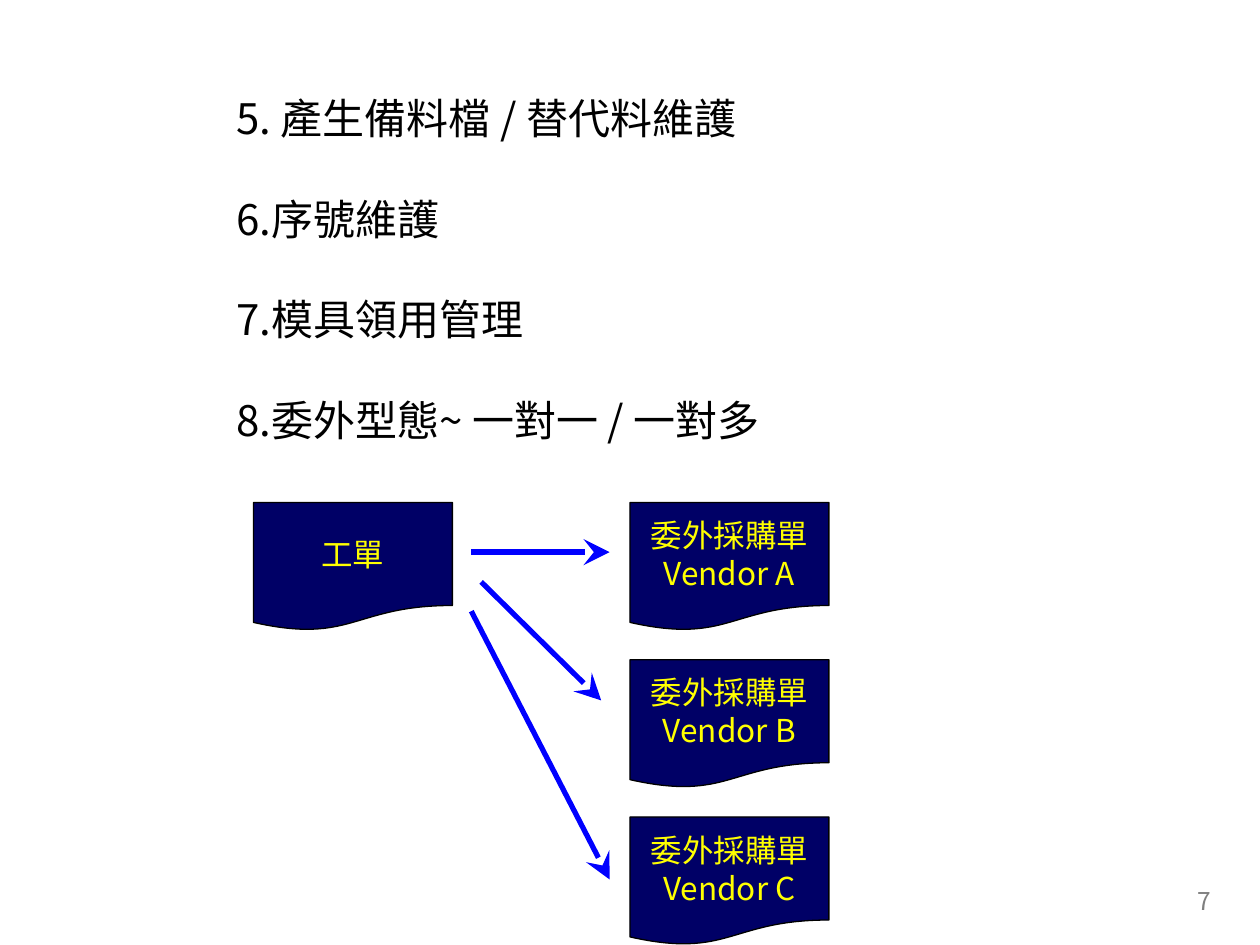
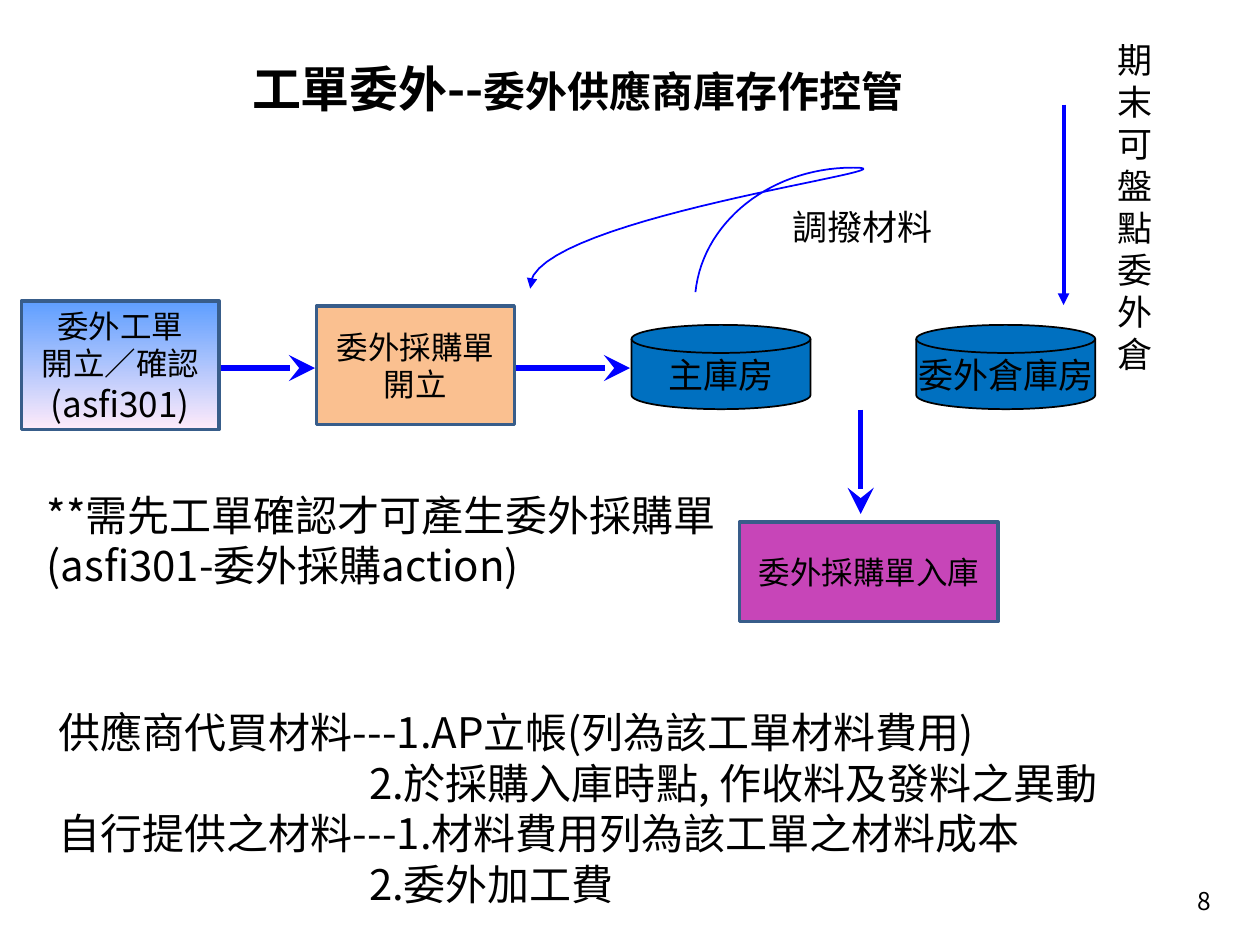
from lxml import etree
from pptx import Presentation
from pptx import util as u
from pptx.dml import color as dml
from pptx.enum import shapes, text
from pptx.oxml import ns

Cm, Pt = u.Cm, u.Pt
Shape, Align = shapes.MSO_SHAPE, text.PP_ALIGN
FONT = "Noto Sans CJK TC"
COLORS = {
    "black": "000000", "grey": "7F7F7F", "yellow": "FFFF00", "navy": "000066",
    "arrow": "0000FF", "disk": "0070C0", "border": "385D8A",
    "peach": "FAC090", "purple": "C745B8", "sky": "5E9EFF", "blush": "FFEBFA",
}

# Boxes are (left, top, width, height) and lines (x1, y1, x2, y2), in cm.
PAGE_NUMBER_BOX = (23.9, 17.73, 1.5, 0.69)

FEATURES = ["5. 產生備料檔 / 替代料維護", "6.序號維護", "7.模具領用管理",
            "8.委外型態~ 一對一 / 一對多"]
FEATURES_BOX = (4.52, 1.73, 12.12, 7.37)
FEATURE_GAP = 28.8
WORK_ORDER = ["工單"]
VENDOR_ORDERS = [["委外採購單", f"Vendor {letter}"] for letter in "ABC"]
WORK_ORDER_LEFT, VENDOR_LEFT = 5.11, 12.7
DOCUMENT_TOP, DOCUMENT_PITCH = 10.13, 3.17
DOCUMENT_SIZE = (4.01, 2.59)
VENDOR_ARROWS = [(9.5, 11.13, 12.29, 11.13), (9.7, 11.73, 12.12, 14.12),
                 (9.5, 12.32, 12.29, 17.73)]

TITLE = [[("工單委外--", 28), "委外供應商庫存作控管"]]
TITLE_BOX = (4.83, 1.04, 14.86, 1.45)
STEPS = [
    (["委外工單", "開立／確認", [("(asfi301)", 20)]], (0.43, 6.07, 3.99, 2.59), ("sky", "blush")),
    (["委外採購單", "開立"], (6.38, 6.17, 3.99, 2.39), "peach"),
    (["委外採購單入庫"], (14.91, 10.52, 5.21, 2.01), "purple"),
]
WAREHOUSES = [("主庫房", 12.73), ("委外倉庫房", 18.47)]
WAREHOUSE_TOP, WAREHOUSE_SIZE = 6.55, (3.61, 1.7)
FLOW_ARROWS = [(4.45, 7.42, 6.35, 7.42), (10.36, 7.42, 12.7, 7.42),
               (17.35, 8.26, 17.35, 10.36)]
STOCKTAKE_ARROW = (21.44, 2.11, 21.44, 6.15)
TRANSFER_CURVES = [
    [(10.69, 5.82), (10.49, 4.42), (18.82, 3.38), (17.2, 3.38)],
    [(17.2, 3.38), (15.54, 3.38), (14.17, 4.47), (14.02, 5.89)],
]
TRANSFER_LABEL = (["調撥材料"], (15.72, 4.01, 3.33, 1.12))
STOCKTAKE_LABEL = (list("期末可盤點委外倉"), (22.28, 0.64, 1.22, 7.04))
CONFIRM_NOTE = (["**需先工單確認才可產生委外採購單(asfi301-委外採購action)"],
                (0.69, 9.73, 14.2, 2.29))
COST_NOTES = [
    ("供應商代買材料---1.AP立帳(列為該工單材料費用)", 0),
    ("2.於採購入庫時點, 作收料及發料之異動", 6.25),
    ("自行提供之材料---1.材料費用列為該工單之材料成本", 0),
    ("2.委外加工費", 6.25),
]
COST_BOX = (0.94, 14.12, 23.09, 4.32)


def rgb(name):
    return dml.RGBColor.from_string(COLORS[name])


def cm(values):
    return [Cm(value) for value in values]


def write(shape, paragraphs, size, color="black", align=Align.LEFT, bold=False,
          wrap=True, anchor=text.MSO_ANCHOR.TOP, gap=0):
    """Fill a shape; a paragraph is a string or a list of strings and (string, size)."""
    frame = shape.text_frame
    frame_format = {"auto_size": text.MSO_AUTO_SIZE.NONE, "word_wrap": wrap,
                    "vertical_anchor": anchor, "margin_left": Cm(0.25),
                    "margin_right": Cm(0.25), "margin_top": Cm(0.13),
                    "margin_bottom": Cm(0.13)}
    for name, value in frame_format.items():
        setattr(frame, name, value)
    for index, runs in enumerate(paragraphs):
        paragraph = frame.add_paragraph() if index else frame.paragraphs[0]
        paragraph.alignment = align
        paragraph.space_before = Pt(gap if index else 0)
        for item in [runs] if isinstance(runs, str) else runs:
            words, run_size = (item, size) if isinstance(item, str) else item
            run = paragraph.add_run()
            run.text = words
            for name, value in {"name": FONT, "size": Pt(run_size), "bold": bold}.items():
                setattr(run.font, name, value)
            run.font.color.rgb = rgb(color)
            east_asian = etree.SubElement(run.font._element, ns.qn("a:ea"))
            east_asian.set("typeface", FONT)
    return frame


def add_label(slide, paragraphs, box, size, **options):
    return write(slide.shapes.add_textbox(*cm(box)), paragraphs, size, **options)


def add_node(slide, kind, box, fill, border, border_width, paragraphs, size, **options):
    """Add a centred, filled shape; a pair of fills makes a top-down gradient."""
    shape = slide.shapes.add_shape(kind, *cm(box))
    shape.shadow.inherit = False
    if isinstance(fill, tuple):
        shape.fill.gradient()
        shape.fill.gradient_angle = 270
        for position, (stop, name) in enumerate(zip(shape.fill.gradient_stops, fill)):
            stop.position = position
            stop.color.rgb = rgb(name)
    else:
        shape.fill.solid()
        shape.fill.fore_color.rgb = rgb(fill)
    shape.line.color.rgb = rgb(border)
    shape.line.width = Pt(border_width)
    write(shape, paragraphs, size, align=Align.CENTER,
          anchor=text.MSO_ANCHOR.MIDDLE, **options)


def style_arrow(shape, width, end, head, head_size):
    shape.line.color.rgb = rgb("arrow")
    shape.line.width = Pt(width)
    arrowhead = etree.SubElement(shape.line._get_or_add_ln(), ns.qn(f"a:{end}"))
    for name, value in {"type": head, "w": head_size, "len": head_size}.items():
        arrowhead.set(name, value)


def add_arrow(slide, ends, width=3, head="stealth", head_size="lg"):
    connector = slide.shapes.add_connector(shapes.MSO_CONNECTOR.STRAIGHT, *cm(ends))
    style_arrow(connector, width, "tailEnd", head, head_size)
    etree.SubElement(connector._element.spPr, ns.qn("a:effectLst"))


def bezier(points, steps=30):
    """Return points along a cubic curve, its start left out."""
    result = []
    for step in range(1, steps + 1):
        t = step / steps
        weights = ((1 - t) ** 3, 3 * t * (1 - t) ** 2, 3 * t * t * (1 - t), t ** 3)
        result.append(tuple(Cm(sum(weight * point[axis] for weight, point in zip(weights, points)))
                            for axis in (0, 1)))
    return result


def add_transfer_curve(slide):
    builder = slide.shapes.build_freeform(*cm(TRANSFER_CURVES[0][0]))
    for curve in TRANSFER_CURVES:
        builder.add_line_segments(bezier(curve), close=False)
    shape = builder.convert_to_shape()
    shape.shadow.inherit = False
    shape.fill.background()
    style_arrow(shape, 1, "headEnd", "triangle", "med")


def build_types_slide(presentation):
    slide = presentation.slides.add_slide(presentation.slide_layouts[6])
    add_label(slide, FEATURES, FEATURES_BOX, 24, wrap=False, gap=FEATURE_GAP)
    documents = [(WORK_ORDER, WORK_ORDER_LEFT, DOCUMENT_TOP)]
    documents += [(order, VENDOR_LEFT, DOCUMENT_TOP + row * DOCUMENT_PITCH)
                  for row, order in enumerate(VENDOR_ORDERS)]
    for paragraphs, left, top in documents:
        add_node(slide, Shape.FLOWCHART_DOCUMENT, (left, top, *DOCUMENT_SIZE), "navy",
                 "black", 0.75, paragraphs, 18, color="yellow", wrap=False)
    for ends in VENDOR_ARROWS:
        add_arrow(slide, ends)
    add_label(slide, ["7"], PAGE_NUMBER_BOX, 14, color="grey")


def build_flow_slide(presentation):
    slide = presentation.slides.add_slide(presentation.slide_layouts[5])
    title = slide.shapes.title
    title.left, title.top, title.width, title.height = cm(TITLE_BOX)
    write(title, TITLE, 24, bold=True)
    for name, left in WAREHOUSES:
        add_node(slide, Shape.FLOWCHART_MAGNETIC_DISK, (left, WAREHOUSE_TOP, *WAREHOUSE_SIZE),
                 "disk", "black", 1, [name], 20, wrap=False)
    for ends in FLOW_ARROWS:
        add_arrow(slide, ends)
    add_arrow(slide, STOCKTAKE_ARROW, 2.25, "triangle", "med")
    add_transfer_curve(slide)
    for paragraphs, box in (TRANSFER_LABEL, STOCKTAKE_LABEL):
        add_label(slide, paragraphs, box, 20, wrap=False)
    add_label(slide, *CONFIRM_NOTE, 24)
    costs = add_label(slide, [words for words, _ in COST_NOTES], COST_BOX, 24)
    for paragraph, (_, indent) in zip(costs.paragraphs, COST_NOTES):
        paragraph._p.get_or_add_pPr().set("marL", str(Cm(indent)))
    for paragraphs, box, fill in STEPS:
        add_node(slide, Shape.RECTANGLE, box, fill, "border", 2, paragraphs, 18)
    add_label(slide, ["8"], PAGE_NUMBER_BOX, 14)


def main():
    presentation = Presentation()
    presentation.slide_width, presentation.slide_height = Cm(25.4), Cm(19.05)
    build_types_slide(presentation)
    build_flow_slide(presentation)
    presentation.save("out.pptx")


if __name__ == "__main__":
    main()
